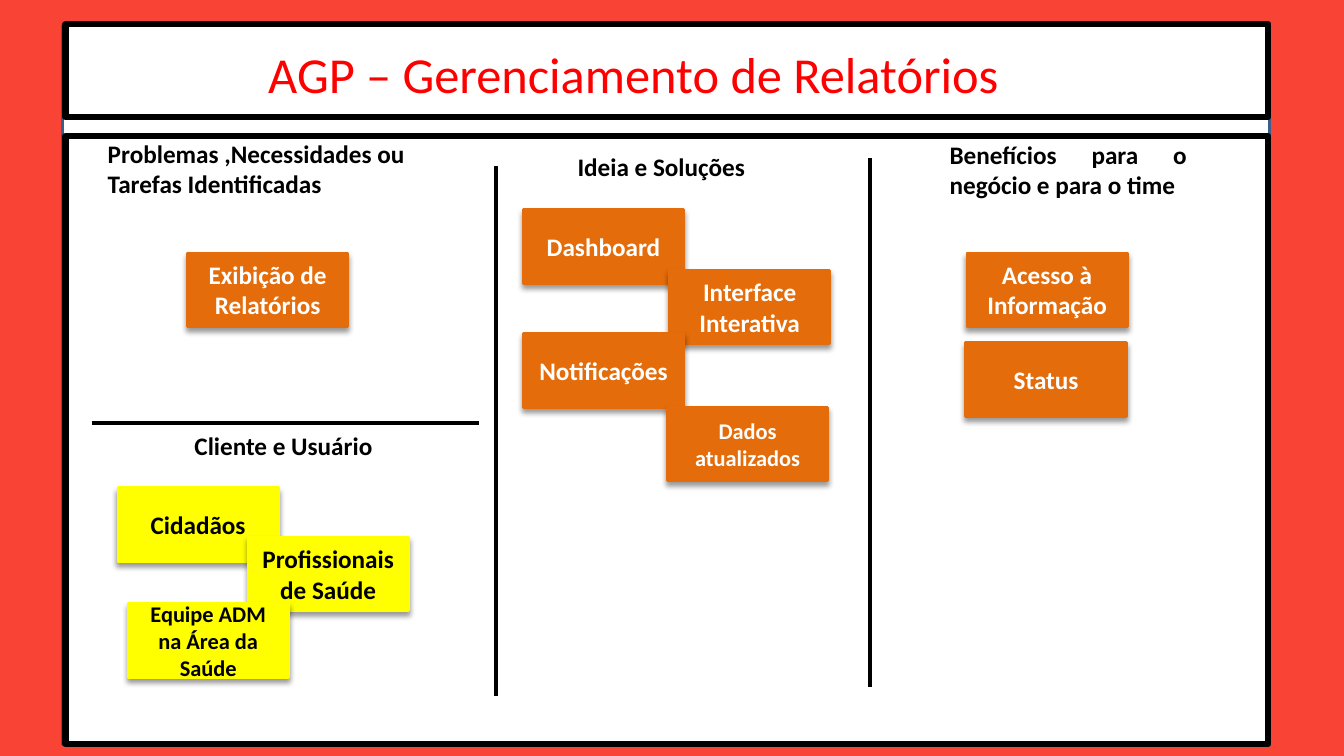
from lxml.etree import SubElement
from pptx import Presentation
from pptx.dml.color import RGBColor
from pptx.enum.shapes import MSO_CONNECTOR, MSO_SHAPE
from pptx.enum.text import MSO_ANCHOR, PP_ALIGN
from pptx.oxml.ns import qn
from pptx.util import Inches, Pt

RED, TITLE_RED, WHITE, BLACK = "F94335", "FF0000", "FFFFFF", "000000"
ORANGE, YELLOW, BLUE = "E46C0A", "FFFF00", "3A5F8C"
NOTE_WIDTH, NOTE_HEIGHT = 1.59, 0.73


def color(hex_code):
    return RGBColor.from_string(hex_code)


def write(shape, text, size, hex_code, bold=True, align=PP_ALIGN.LEFT):
    shape.text_frame.text = text
    para = shape.text_frame.paragraphs[0]
    para.alignment = align
    font = para.runs[0].font
    font.name, font.size, font.bold = "Calibri", Pt(size), bold
    font.color.rgb = color(hex_code)


def add_box(page, box, fill, line, line_width):
    shape = page.shapes.add_shape(MSO_SHAPE.RECTANGLE, *map(Inches, box))
    shape.shadow.inherit = False
    if fill:
        shape.fill.solid()
        shape.fill.fore_color.rgb = color(fill)
    else:
        shape.fill.background()
    shape.line.color.rgb = color(line)
    shape.line.width = Pt(line_width)
    return shape


def add_rule(page, left, top, right, bottom):
    rule = page.shapes.add_connector(
        MSO_CONNECTOR.STRAIGHT, *map(Inches, (left, top, right, bottom)))
    rule.line.color.rgb = color(BLACK)
    rule.line.width = Pt(3)
    SubElement(rule.element.spPr, qn("a:effectLst"))


def add_heading(page, box, text, wrap=True, align=PP_ALIGN.LEFT):
    heading = page.shapes.add_textbox(*map(Inches, box))
    heading.text_frame.word_wrap = wrap
    write(heading, text, 18, BLACK, align=align)


def add_note(page, left, top, text, size, fill, text_color):
    note = add_box(page, (left, top, NOTE_WIDTH, NOTE_HEIGHT), fill, fill, 2)
    note.text_frame.word_wrap = True
    note.text_frame.vertical_anchor = MSO_ANCHOR.MIDDLE
    write(note, text, size, text_color, align=PP_ALIGN.CENTER)
    # Soft shadow straight below the note
    effects = note.element.spPr.find(qn("a:effectLst"))
    shadow = SubElement(effects, qn("a:outerShdw"), blurRad=str(Pt(4)),
                        dist=str(Pt(3)), dir="5400000", rotWithShape="0")
    shade = SubElement(shadow, qn("a:srgbClr"), val=BLACK)
    SubElement(shade, qn("a:alpha"), val="40000")


def add_notes(page, left, top, notes, fill=ORANGE, text_color=WHITE):
    for across, down, text, size in notes:
        add_note(page, left + across, top + down, text, size, fill, text_color)


def add_title_band(page, box):
    left, top, width, height = box
    title = page.shapes.title
    title.left, title.top = Inches(left + 0.33), Inches(top + 0.14)
    title.width, title.height = Inches(10.61), Inches(0.71)
    title.text_frame.vertical_anchor = MSO_ANCHOR.TOP
    write(title, "AGP – Gerenciamento de Relatórios", 36, TITLE_RED,
          bold=False, align=PP_ALIGN.CENTER)
    page.shapes.element.append(title.element)  # in front of the backdrop
    add_box(page, box, None, BLACK, 4.5)


def add_problems(page, left, top):
    add_heading(page, (left + 0.32, top - 0.03, 3.78, 0.71),
                "Problemas ,Necessidades ou Tarefas Identificadas")
    add_notes(page, left, top, [(1.21, 1.16, "Exibição de Relatórios", 18)])


def add_clients(page, left, top):
    add_rule(page, left + 0.26, top, left + 4.1, top)
    add_heading(page, (left + 1.18, top + 0.02, 1.98, 0.4),
                "Cliente e Usuário", wrap=False)
    add_notes(page, left, top, [
        (0.52, 0.64, "Cidadãos", 18),
        (1.81, 1.13, "Profissionais de Saúde", 18),
        (0.62, 1.79, "Equipe ADM na Área da Saúde", 16),
    ], YELLOW, BLACK)


def add_ideas(page, left, top):
    add_rule(page, left, top + 0.3, left, top + 5.55)
    add_heading(page, (left + 0.71, top + 0.1, 1.87, 0.4),
                "Ideia e Soluções", wrap=False)
    add_notes(page, left, top, [
        (0.27, 0.73, "Dashboard", 18),
        (1.72, 1.33, "Interface Interativa", 18),
        (0.27, 1.96, "Notificações", 18),
        (1.7, 2.69, "Dados atualizados", 16),
    ])


def add_benefits(page, left, top):
    add_rule(page, left, top + 0.22, left, top + 5.47)
    add_heading(page, (left + 0.69, top - 0.02, 2.55, 0.71),
                "Benefícios para o negócio e para o time",
                align=PP_ALIGN.JUSTIFY)
    add_notes(page, left, top, [
        (0.96, 1.16, "Acesso à Informação", 18),
        (0.95, 2.05, "Status", 18),
    ])


def add_board(page, box):
    left, top, width, height = box
    add_box(page, box, None, BLACK, 4.5)
    add_problems(page, left, top)
    add_clients(page, left, top + 2.85)
    add_ideas(page, left + 4.27, top)
    add_benefits(page, left + 7.98, top)


def main():
    deck = Presentation()
    deck.slide_width, deck.slide_height = Inches(13.33), Inches(7.5)
    page = deck.slides.add_slide(deck.slide_layouts[5])
    page.background.fill.solid()
    page.background.fill.fore_color.rgb = color(RED)

    # White backdrop, title band and board
    add_box(page, (0.62, 0.25, 11.97, 7.14), WHITE, BLUE, 2)
    add_title_band(page, (0.65, 0.24, 11.93, 0.92))
    add_board(page, (0.65, 1.35, 11.93, 6.03))
    deck.save("out.pptx")


if __name__ == "__main__":
    main()
